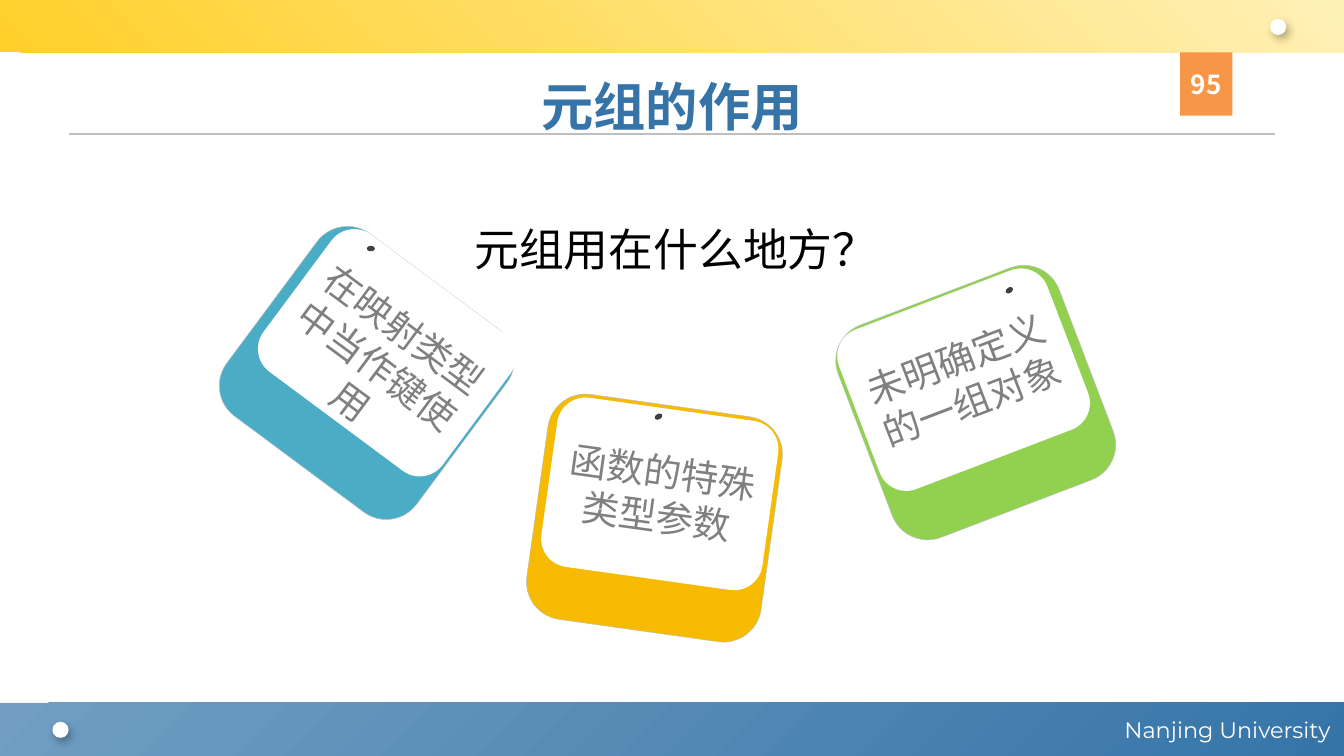
import pptx
import pptx.util
import pptx.dml.color
import pptx.enum.shapes
import pptx.enum.text
import pptx.oxml
import pptx.oxml.ns
from lxml import etree

Pt = pptx.util.Pt
Kind = pptx.enum.shapes.MSO_SHAPE
Align = pptx.enum.text.PP_ALIGN
Anchor = pptx.enum.text.MSO_ANCHOR
qn = pptx.oxml.ns.qn
SANS = "Noto Sans CJK SC"


def tint(text):
    return pptx.dml.color.RGBColor.from_string(text)


def shape(parts, kind, box, fill=None, line=None, turn=0):
    item = parts.add_shape(kind, *map(Pt, box))
    item.shadow.inherit = False
    item.rotation = turn
    if fill:
        item.fill.solid()
        item.fill.fore_color.rgb = tint(fill)
    if line:
        item.line.color.rgb = tint(line)
        item.line.width = Pt(0.25)
    else:
        item.line.fill.background()
    return item


def blend(item, first, last, angle):
    item.fill.gradient()
    item.fill.gradient_angle = angle
    for stop, hue in zip(item.fill.gradient_stops, (first, last)):
        stop.color.rgb = tint(hue)


def shade(item, alpha, blur, dist, angle):
    effects = item._element.spPr.find(qn("a:effectLst"))
    outer = etree.SubElement(
        effects, qn("a:outerShdw"), blurRad=str(Pt(blur)), dist=str(Pt(dist)),
        dir=str(angle * 60000), algn="ctr", rotWithShape="0")
    hue = etree.SubElement(outer, qn("a:srgbClr"), val="000000")
    etree.SubElement(hue, qn("a:alpha"), val=str(alpha * 1000))


def write(item, text, size, hue, bold=False, face=SANS, align=Align.CENTER,
          anchor=Anchor.MIDDLE, inset=(7.2, 3.6, 7.2, 3.6)):
    frame = item.text_frame
    frame.text = text
    frame.word_wrap = True
    frame.vertical_anchor = anchor
    frame.margin_left, frame.margin_top, frame.margin_right, frame.margin_bottom = map(Pt, inset)
    para = frame.paragraphs[0]
    para.alignment = align
    run = para.runs[0]
    run.font.size = Pt(size)
    run.font.bold = bold
    run.font.color.rgb = tint(hue)
    run.font.name = face
    etree.SubElement(run._r.get_or_add_rPr(), qn("a:ea"), typeface=face)
    return para


def knob(parts, left, top):
    dot = shape(parts, Kind.OVAL, (left, top, 8.64, 8.64), "FFFFFF")
    shade(dot, 30, 4.5, 2.6, 53)


def header(parts, left, top, width, height):
    bar = shape(parts, Kind.RECTANGLE, (left, top, width, height))
    blend(bar, "FFD02A", "FFF0B6", 45)
    knob(parts, left + 680.4, top + 10.08)


def footer(parts, left, top, width, height):
    bar = shape(parts, Kind.RECTANGLE, (left, top, width, height))
    blend(bar, "719EC2", "3674A8", 315)
    shade(bar, 38, 3.1, 1.6, 90)
    write(bar, "Nanjing University", 12, "FFFFFF", face="Montserrat", align=Align.RIGHT)
    knob(parts, left + 28.08, top + 10.08)


def title(parts, left, top, width, height):
    base = top + height
    rule = parts.add_connector(
        pptx.enum.shapes.MSO_CONNECTOR.STRAIGHT,
        Pt(left + 0.72), Pt(base), Pt(left + width - 0.72), Pt(base))
    rule.line.color.rgb = tint("BFBFBF")
    rule.line.width = Pt(1)
    etree.SubElement(rule._element.spPr, qn("a:effectLst"))
    box = parts.add_textbox(*map(Pt, (left, top, width, height)))
    write(box, "元组的作用", 28, "3674A8", bold=True)


def query(parts, left, top, width, height):
    box = parts.add_textbox(*map(Pt, (left, top, width, height)))
    para = write(box, "元组用在什么地方？", 24, "000000", anchor=Anchor.TOP)
    para.line_spacing = 1.5


def card(parts, left, top, text, hue, turn, front, pin, spin=0, head=3.6):
    group = parts.add_group_shape().shapes
    shape(group, Kind.ROUNDED_RECTANGLE, (left, top, 126.72, 121.68), hue, "BFBFBF", turn)
    face = shape(group, Kind.ROUNDED_RECTANGLE,
                 (left + front[0], top + front[1], 119.52, 91.44), "FFFFFF", turn=turn)
    write(face, text, 20, "808080", inset=(2.88, head, 2.88, 3.6))
    shape(group, Kind.OVAL, (left + pin[0], top + pin[1], 4.32, 2.88), "404040", turn=spin)


def badge(parts, left, top, width, height):
    tag = shape(parts, Kind.RECTANGLE, (left, top, width, height), "F79646")
    write(tag, "95", 14, "FFFFFF", bold=True, inset=(0, 3.6, 0, 3.6))


def main():
    deck = pptx.Presentation()
    deck.slide_width, deck.slide_height = Pt(720), Pt(405)
    parts = deck.slides.add_slide(deck.slide_layouts[6]).shapes
    footer(parts, 0, 376.6, 720, 28.4)
    header(parts, 0, 0, 720, 28.08)
    title(parts, 36, 41, 648, 31)
    query(parts, 36, 100.8, 652.32, 38.16)
    card(parts, 133.2, 138.96, "在映射类型中当作键使用", "4BACC6", 36.6,
         (14.4, 4.32), (63.36, -7.2), head=20.16)
    card(parts, 287.28, 216.72, "函数的特殊类型参数", "F6BB00", 8,
         (6.48, 2.16), (63.36, 5.04), 331.4)
    card(parts, 459.36, 154.8, "未明确定义的一组对象", "92D050", 339.1,
         (-2.88, 2.88), (79.2, -0.72), 323.8)
    badge(parts, 632.16, 28.08, 28.08, 33.84)
    deck.save("out.pptx")


if __name__ == "__main__":
    main()
